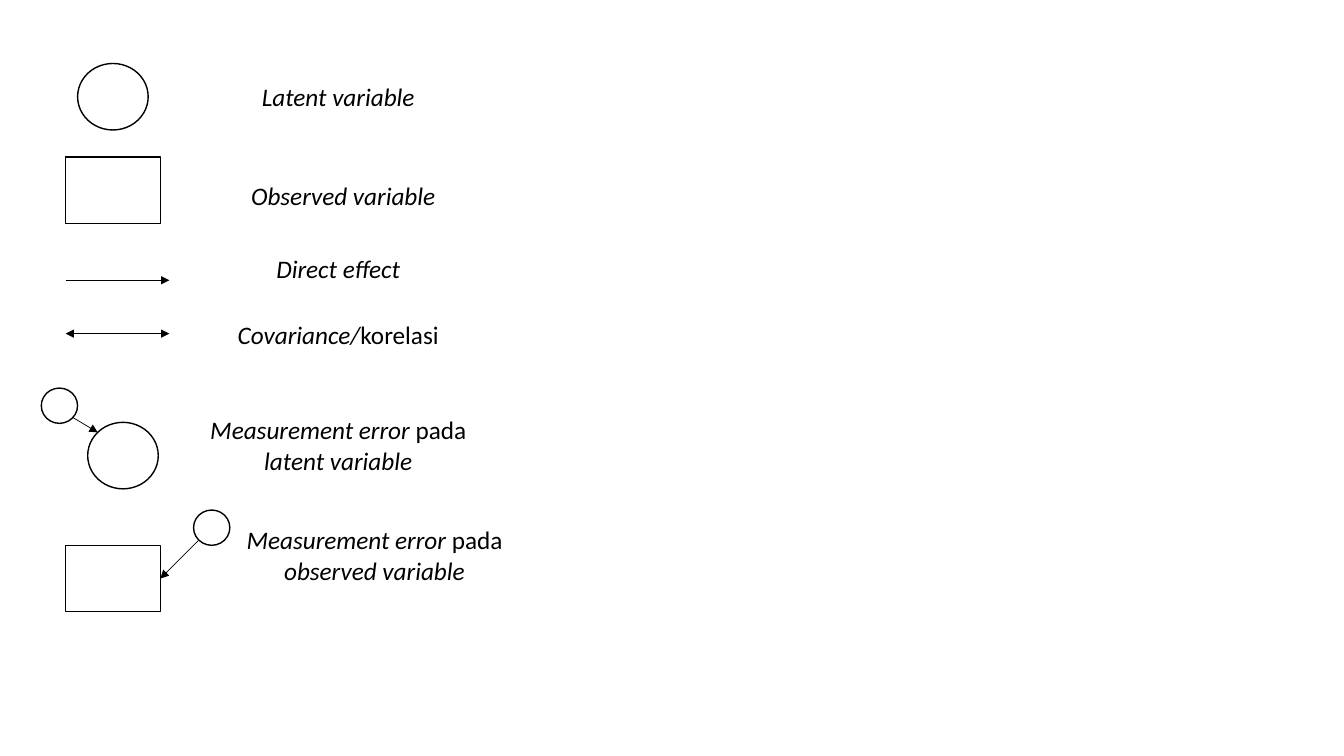
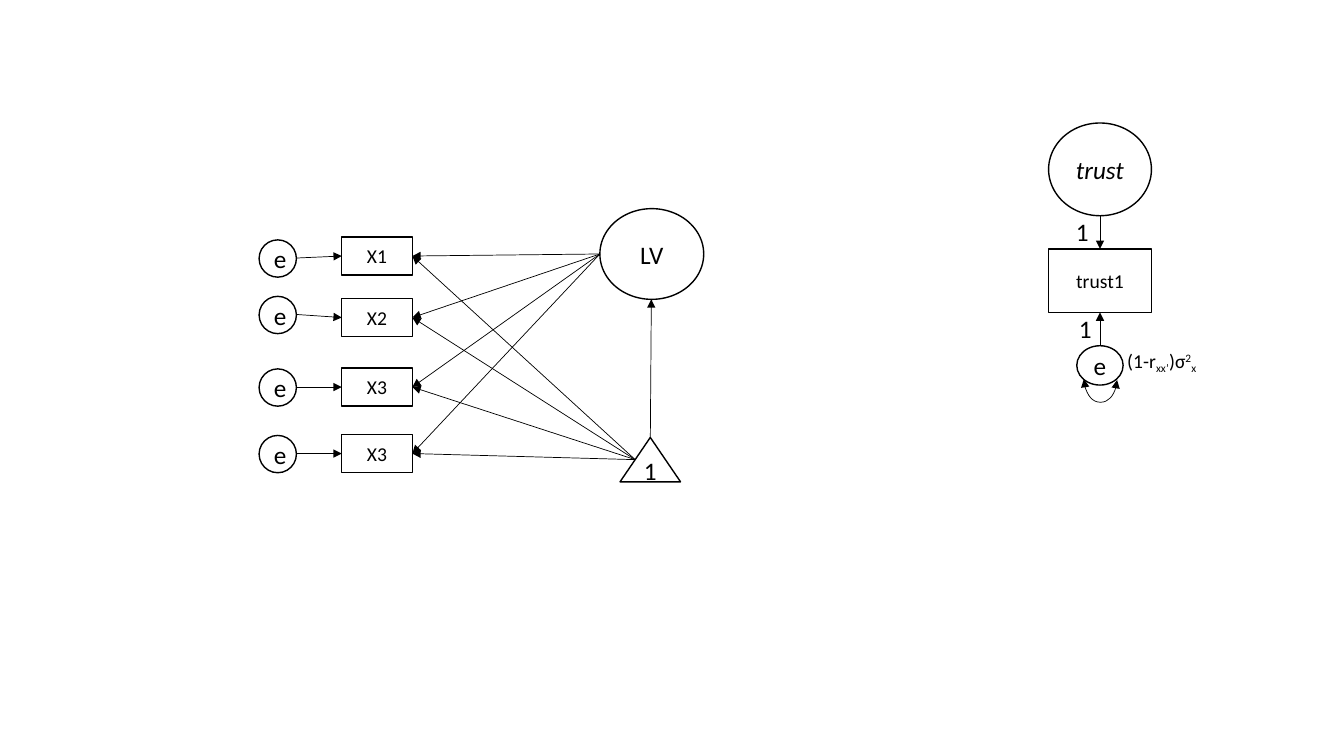
import collections

import lxml.etree
import pptx
import pptx.dml.color
import pptx.enum.shapes
import pptx.enum.text
import pptx.oxml.ns
import pptx.util

Inches = pptx.util.Inches
SHAPE = pptx.enum.shapes.MSO_SHAPE
CONNECTOR = pptx.enum.shapes.MSO_CONNECTOR
ALIGN = pptx.enum.text.PP_ALIGN

BLACK = pptx.dml.color.RGBColor(0, 0, 0)
FONT = "Calibri"
TEXT_SIZE = 18
SMALL_SIZE = 14
TOP, LEFT, BOTTOM, RIGHT = range(4)

Run = collections.namedtuple("Run", "text italic baseline", defaults=(False, 0))
Joint = collections.namedtuple("Joint", "shape side")


# Text
def write(shape, runs, size=TEXT_SIZE, align=ALIGN.CENTER, left_inset=0):
    frame = shape.text_frame
    frame.word_wrap = True
    frame.vertical_anchor = pptx.enum.text.MSO_ANCHOR.MIDDLE
    frame.margin_left = Inches(left_inset)
    frame.margin_right = frame.margin_top = frame.margin_bottom = 0
    paragraph = frame.paragraphs[0]
    paragraph.alignment = align
    for part in runs:
        run = paragraph.add_run()
        run.text = part.text
        run.font.name = FONT
        run.font.size = pptx.util.Pt(size)
        run.font.italic = part.italic
        run.font.color.rgb = BLACK
        if part.baseline:
            run.font._element.set("baseline", str(part.baseline * 1000))


def add_label(slide, box, runs, size=TEXT_SIZE, align=ALIGN.CENTER):
    write(slide.shapes.add_textbox(*map(Inches, box)), runs, size, align)


# Outlined nodes
def add_node(slide, kind, box, text="", size=TEXT_SIZE, italic=False, left_inset=0):
    node = slide.shapes.add_shape(kind, *map(Inches, box))
    node.shadow.inherit = False
    node.fill.background()
    node.line.color.rgb = BLACK
    node.line.width = pptx.util.Pt(1)
    if text:
        write(node, [Run(text, italic)], size, left_inset=left_inset)
    return node


# Arrows: each end is a point or a joint on a node
def add_arrow(slide, start, end, both=False, kind=CONNECTOR.STRAIGHT):
    points = [(0, 0) if isinstance(place, Joint) else place for place in (start, end)]
    arrow = slide.shapes.add_connector(kind, *(Inches(v) for point in points for v in point))
    if isinstance(start, Joint):
        arrow.begin_connect(start.shape, start.side)
    if isinstance(end, Joint):
        arrow.end_connect(end.shape, end.side)
    arrow.line.color.rgb = BLACK
    arrow.line.width = pptx.util.Pt(0.5)
    line = arrow.line._get_or_add_ln()
    for tag in ("a:headEnd", "a:tailEnd") if both else ("a:tailEnd",):
        lxml.etree.SubElement(line, pptx.oxml.ns.qn(tag), type="triangle")
    lxml.etree.SubElement(arrow.element.spPr, pptx.oxml.ns.qn("a:effectLst"))
    return arrow


def add_variance_loop(slide):
    loop = add_arrow(slide, (10.92, 3.6), (10.91, 3.93), True, CONNECTOR.CURVE)
    properties = loop.element.spPr
    properties.find(pptx.oxml.ns.qn("a:xfrm")).set("rot", str(270 * 60000))
    adjustments = properties.find(".//" + pptx.oxml.ns.qn("a:avLst"))
    lxml.etree.SubElement(adjustments, pptx.oxml.ns.qn("a:gd"),
                          name="adj1", fmla="val 2345800")


# Slide 1: symbols and their meanings
def build_symbols(slide):
    for left, top in ((0.77, 0.63), (0.87, 4.19)):
        add_node(slide, SHAPE.OVAL, (left, top, 0.7, 0.66))
    for left, top in ((0.41, 3.85), (1.92, 5.06)):
        add_node(slide, SHAPE.OVAL, (left, top, 0.36, 0.35))
    observed = [add_node(slide, SHAPE.RECTANGLE, (0.65, top, 0.94, 0.66))
                for top in (1.56, 5.41)]

    add_arrow(slide, (0.65, 2.78), (1.68, 2.78))
    add_arrow(slide, (0.65, 3.31), (1.68, 3.31), both=True)
    add_arrow(slide, (0.72, 4.14), (0.97, 4.29))
    add_arrow(slide, (1.97, 5.36), Joint(observed[1], RIGHT))

    error = [Run("Measurement error ", True), Run("pada ")]
    labels = (
        (1.92, 0.79, [Run("Latent variable", True)]),
        (1.97, 1.77, [Run("Observed variable", True)]),
        (1.92, 2.5, [Run("Direct effect", True)]),
        (1.92, 3.15, [Run("Covariance/", True), Run("korelasi")]),
        (1.92, 4.25, error + [Run("latent variable", True)]),
        (2.28, 5.34, error + [Run("observed variable", True)]),
    )
    for left, top, runs in labels:
        add_label(slide, (left, top, 2.87, 0.33), runs)


# Slide 2, left: latent variable with four indicators
def build_factor_model(slide):
    latent = add_node(slide, SHAPE.OVAL, (5.95, 2.07, 1.03, 0.9), "LV")
    constant = add_node(slide, SHAPE.ISOSCELES_TRIANGLE, (6.15, 4.34, 0.6, 0.44), "1")
    indicators = (("X1", 2.35, 2.38), ("X2", 2.96, 2.94),
                  ("X3", 3.65, 3.66), ("X3", 4.31, 4.32))
    for name, top, error_top in indicators:
        indicator = add_node(slide, SHAPE.RECTANGLE, (3.39, top, 0.7, 0.38),
                             name, SMALL_SIZE)
        add_node(slide, SHAPE.OVAL, (2.57, error_top, 0.37, 0.37), "e", left_inset=0.05)
        add_arrow(slide, (2.94, error_top + 0.18), Joint(indicator, LEFT))
        for source in ((5.95, 2.52), (6.3, 4.56)):
            add_arrow(slide, source, Joint(indicator, RIGHT))
    add_arrow(slide, Joint(constant, TOP), (6.46, latent.top / Inches(1) + 0.9))


# Slide 2, right: single indicator with fixed error variance
def build_single_indicator(slide):
    add_node(slide, SHAPE.OVAL, (10.4, 1.22, 1.02, 0.92), "trust", italic=True)
    indicator = add_node(slide, SHAPE.RECTANGLE, (10.4, 2.47, 1.02, 0.63),
                         "trust1", SMALL_SIZE)
    error = add_node(slide, SHAPE.OVAL, (10.68, 3.43, 0.46, 0.39), "e")
    add_arrow(slide, (10.91, 2.14), Joint(indicator, TOP))
    add_arrow(slide, Joint(error, TOP), Joint(indicator, BOTTOM))
    add_variance_loop(slide)
    for left, top in ((10.58, 2.16), (10.61, 3.12)):
        add_label(slide, (left, top, 0.31, 0.28), [Run("1")])
    variance = [Run("(1-r"), Run("xx’", baseline=-25), Run(")σ"),
                Run("2", baseline=30), Run("x", baseline=-25)]
    add_label(slide, (11.18, 3.34, 0.95, 0.5), variance, SMALL_SIZE, ALIGN.LEFT)


def main():
    presentation = pptx.Presentation()
    presentation.slide_width = Inches(13.33)
    presentation.slide_height = Inches(7.5)
    blank = presentation.slide_layouts[6]
    build_symbols(presentation.slides.add_slide(blank))
    model_slide = presentation.slides.add_slide(blank)
    build_factor_model(model_slide)
    build_single_indicator(model_slide)
    presentation.save("out.pptx")


if __name__ == "__main__":
    main()
